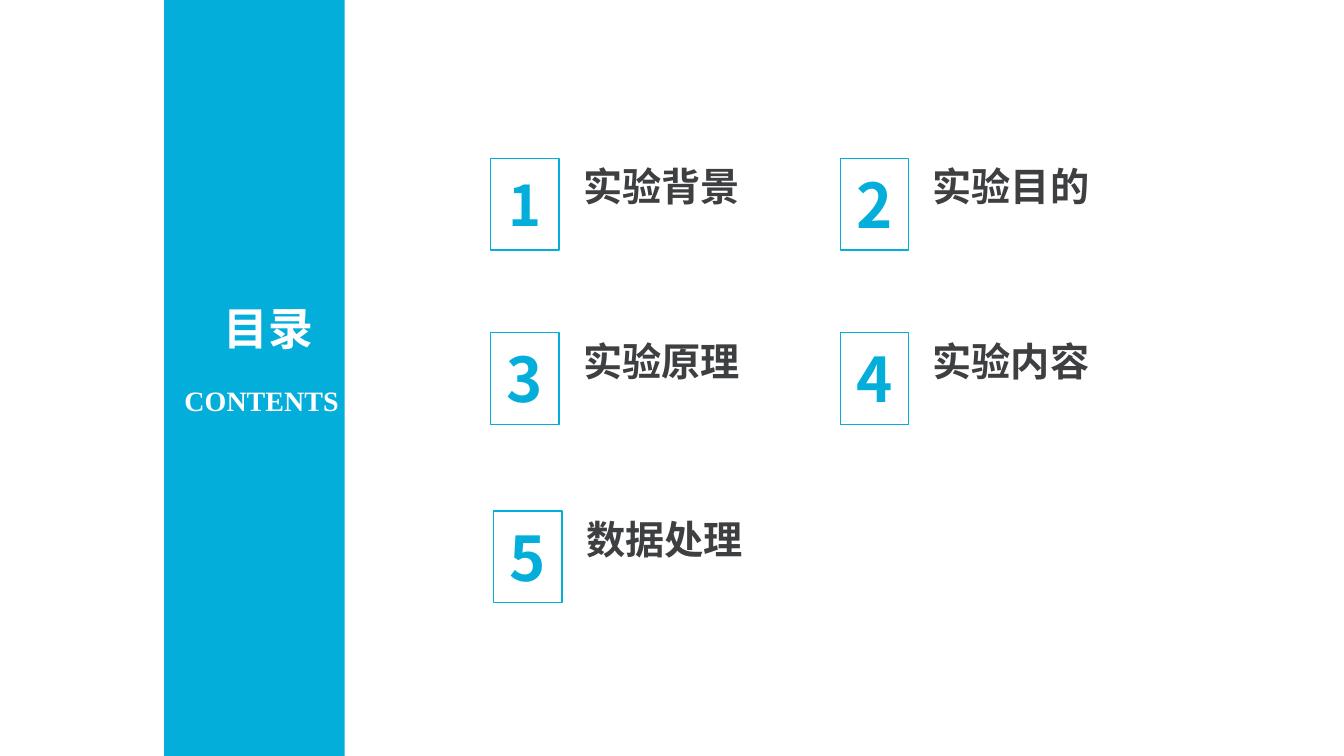
from dataclasses import dataclass

from pptx import Presentation
from pptx.dml.color import RGBColor
from pptx.enum.shapes import MSO_SHAPE
from pptx.enum.text import MSO_ANCHOR, PP_ALIGN
from pptx.oxml.ns import qn
from pptx.util import Inches, Pt

RECTANGLE = MSO_SHAPE.RECTANGLE
MIDDLE = MSO_ANCHOR.MIDDLE
LEFT, CENTER, RIGHT = PP_ALIGN.LEFT, PP_ALIGN.CENTER, PP_ALIGN.RIGHT

SLIDE_WIDTH, SLIDE_HEIGHT = 13.34, 7.5
COLUMN_LEFTS = (4.87, 8.34)
ROW_TOPS = (1.57, 3.3, 5.07)
LAST_ROW_INDENT = 0.03
FRAME_WIDTH, FRAME_HEIGHT = 0.68, 0.91

TOPICS = ("实验背景", "实验目的", "实验原理", "实验内容", "数据处理")


@dataclass(frozen=True)
class Theme:
    """Colours, fonts and type sizes of the slide."""
    accent: RGBColor = RGBColor(0x04, 0xAE, 0xDA)
    ink: RGBColor = RGBColor(0x3D, 0x3F, 0x41)
    white: RGBColor = RGBColor(0xFF, 0xFF, 0xFF)
    chinese_font: str = "Noto Sans CJK SC"
    latin_font: str = "Times New Roman"
    title_size: int = 32
    subtitle_size: int = 20
    topic_size: int = 28
    first_number_size: int = 40
    number_size: int = 44
    line_width: float = 1


THEME = Theme()


def add_rectangle(shapes, left, top, width, height, fill=None, line=None):
    """Add a rectangle with an optional fill and outline."""
    shape = shapes.add_shape(RECTANGLE, Inches(left), Inches(top),
                             Inches(width), Inches(height))
    shape.shadow.inherit = False
    if fill is None:
        shape.fill.background()
    else:
        shape.fill.solid()
        shape.fill.fore_color.rgb = fill
    if line is None:
        shape.line.fill.background()
    else:
        shape.line.color.rgb = line
        shape.line.width = Pt(THEME.line_width)


def add_text(shapes, text, left, top, width, height, size, color,
             alignment=LEFT, font=THEME.chinese_font):
    """Add one bold line of text, centred vertically in its box."""
    box = shapes.add_textbox(Inches(left), Inches(top),
                             Inches(width), Inches(height))
    frame = box.text_frame
    frame.word_wrap = True
    frame.vertical_anchor = MIDDLE
    paragraph = frame.paragraphs[0]
    paragraph.alignment = alignment
    run = paragraph.add_run()
    run.text = text
    run.font.name = font
    run.font.size = Pt(size)
    run.font.bold = True
    run.font.color.rgb = color
    east_asian = run.font._element.makeelement(qn("a:ea"), {"typeface": font})
    run.font._element.find(qn("a:latin")).addnext(east_asian)


def add_sidebar(slide):
    """Add the coloured band with the heading in two languages."""
    shapes = slide.shapes.add_group_shape().shapes
    add_rectangle(shapes, 1.63, 0, 1.79, SLIDE_HEIGHT, fill=THEME.accent)
    add_text(shapes, "目录", 1.74, 2.93, 1.47, 0.64,
             THEME.title_size, THEME.white, RIGHT)
    add_text(shapes, "CONTENTS", 1.67, 3.75, 1.79, 0.44,
             THEME.subtitle_size, THEME.white, RIGHT, THEME.latin_font)


def add_topic(slide, number, topic, left, top):
    """Add a framed number with its topic to the right."""
    shapes = slide.shapes.add_group_shape().shapes
    size = THEME.first_number_size if number == 1 else THEME.number_size
    add_text(shapes, topic, left + 0.82, top - 0.01, 1.96, 0.57,
             THEME.topic_size, THEME.ink)
    add_text(shapes, str(number), left - 0.03, top + 0.03, 0.74, 0.84,
             size, THEME.accent, CENTER)
    add_rectangle(shapes, left, top, FRAME_WIDTH, FRAME_HEIGHT,
                  line=THEME.accent)


def main():
    """Build the contents slide and save it."""
    presentation = Presentation()
    presentation.slide_width = Inches(SLIDE_WIDTH)
    presentation.slide_height = Inches(SLIDE_HEIGHT)
    slide = presentation.slides.add_slide(presentation.slide_layouts[6])
    add_sidebar(slide)
    for index, topic in enumerate(TOPICS):
        row, column = divmod(index, len(COLUMN_LEFTS))
        indent = LAST_ROW_INDENT if row == len(ROW_TOPS) - 1 else 0
        add_topic(slide, index + 1, topic,
                  COLUMN_LEFTS[column] + indent, ROW_TOPS[row])
    presentation.save("out.pptx")


main()
